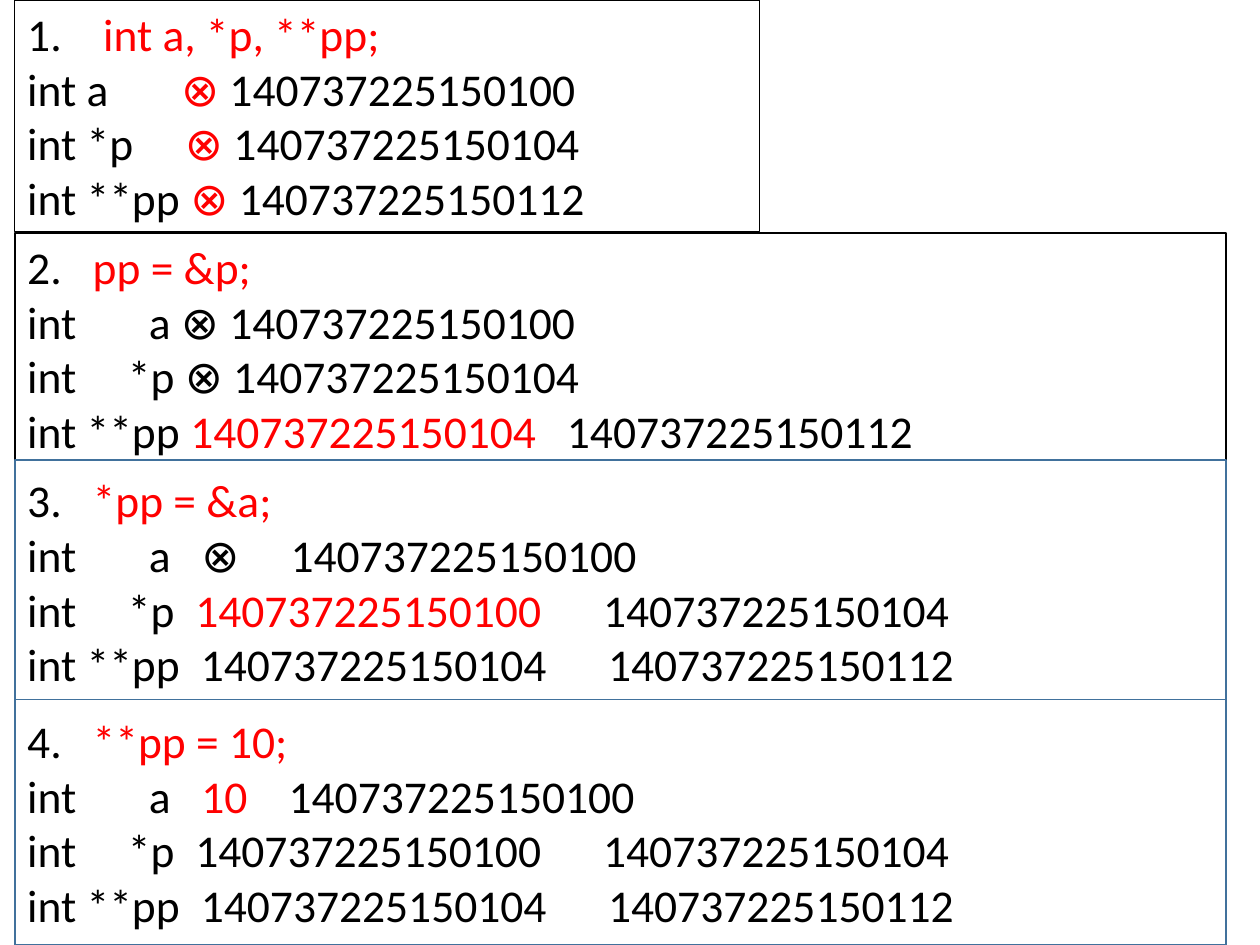
from lxml.etree import SubElement
from pptx import Presentation
from pptx.dml.color import RGBColor
from pptx.enum.shapes import MSO_SHAPE
from pptx.enum.text import MSO_ANCHOR, MSO_AUTO_SIZE, PP_ALIGN
from pptx.oxml.ns import qn
from pptx.util import Cm, Pt

LEFT, TEXT_HEIGHT = 0.3, 4.67
FONT = {"name": "Calibri", "size": Pt(26)}
FRAME = {"word_wrap": True, "auto_size": MSO_AUTO_SIZE.SHAPE_TO_FIT_TEXT,
         "vertical_anchor": MSO_ANCHOR.TOP}


def paint(color_format, value):
    color_format.rgb = RGBColor.from_string(value)


def write_lines(frame, lines):
    """Each line is (text, tab stops in cm); text between bars is red."""
    for name, value in FRAME.items():
        setattr(frame, name, value)
    for index, (text, stops) in enumerate(lines):
        para = frame.add_paragraph() if index else frame.paragraphs[0]
        para.alignment = PP_ALIGN.LEFT
        if stops:
            tab_list = SubElement(para._p.get_or_add_pPr(), qn("a:tabLst"))
            for stop in stops:
                SubElement(tab_list, qn("a:tab"), pos=str(Cm(stop)), algn="l")
        for part, words in enumerate(text.split("|")):
            if not words:
                continue
            span = para.add_run()
            span.text = words
            for name, value in FONT.items():
                setattr(span.font, name, value)
            paint(span.font.color, "FF0000" if part % 2 else "000000")


deck = Presentation()
deck.slide_width, deck.slide_height = Cm(25.4), Cm(19.05)
page = deck.slides.add_slide(deck.slide_layouts[6])

# Tab stops shared by the steps
HEAD, A_NAME, P_NAME = 1.32, 2.45, 2.03
A_VALUE, P_COLUMNS, PP_COLUMNS = 3.51, [3.39, 11.61], [3.5, 11.71]
PP_LINE = ("int **pp\t140737225150104\t140737225150112", PP_COLUMNS)

# Steps of the pointer example
steps = [
    {"top": 0, "width": 15.01, "height": TEXT_HEIGHT, "line": "000000",
     "weight": 0.75, "lines": [
         ("1.\t|int a, *p, **pp;|", [1.53]),
         ("int a\t|⊗| 140737225150100", [3.1]),
         ("int *p\t|⊗| 140737225150104", [3.18]),
         ("int **pp |⊗| 140737225150112", [])]},
    {"top": 4.7, "width": 24.41, "height": 5.13, "line": "000000",
     "weight": 1, "text_top": 4.7, "text_width": 24, "lines": [
         ("2.\t|pp = &p;|", [HEAD]),
         ("int\ta ⊗ 140737225150100", [A_NAME]),
         ("int\t*p ⊗ 140737225150104", [P_NAME]),
         ("int **pp |140737225150104|\t140737225150112", [10.88])]},
    {"top": 9.27, "width": 24.41, "height": 4.85, "line": "41719C",
     "weight": 1, "text_top": 9.4, "text_width": 24.41, "lines": [
         ("3.\t|*pp = &a;|", [HEAD]),
         ("int\ta\t⊗\t140737225150100", [A_NAME, A_VALUE, 5.31]),
         ("int\t*p\t|140737225150100|\t140737225150104", [P_NAME, *P_COLUMNS]),
         PP_LINE]},
    {"top": 14.1, "width": 24.41, "height": 4.95, "line": "41719C",
     "weight": 1, "text_top": 14.25, "text_width": 24, "lines": [
         ("4.\t|**pp = 10;|", [HEAD]),
         ("int\ta\t|10|\t140737225150100", [A_NAME, A_VALUE, 5.27]),
         ("int\t*p\t140737225150100\t140737225150104", [P_NAME, *P_COLUMNS]),
         PP_LINE]},
]

for step in steps:
    # Bordered panel
    panel = page.shapes.add_shape(MSO_SHAPE.RECTANGLE, Cm(LEFT), Cm(step["top"]),
                                  Cm(step["width"]), Cm(step["height"]))
    panel.shadow.inherit = False
    paint(panel.line.color, step["line"])
    panel.line.width = Pt(step["weight"])

    # The first panel holds its own text, the others carry a text box
    if "text_top" in step:
        panel.fill.solid()
        paint(panel.fill.fore_color, "FFFFFF")
        box = page.shapes.add_textbox(Cm(LEFT), Cm(step["text_top"]),
                                      Cm(step["text_width"]), Cm(TEXT_HEIGHT))
    else:
        panel.fill.background()
        box = panel
    write_lines(box.text_frame, step["lines"])

deck.save("out.pptx")
